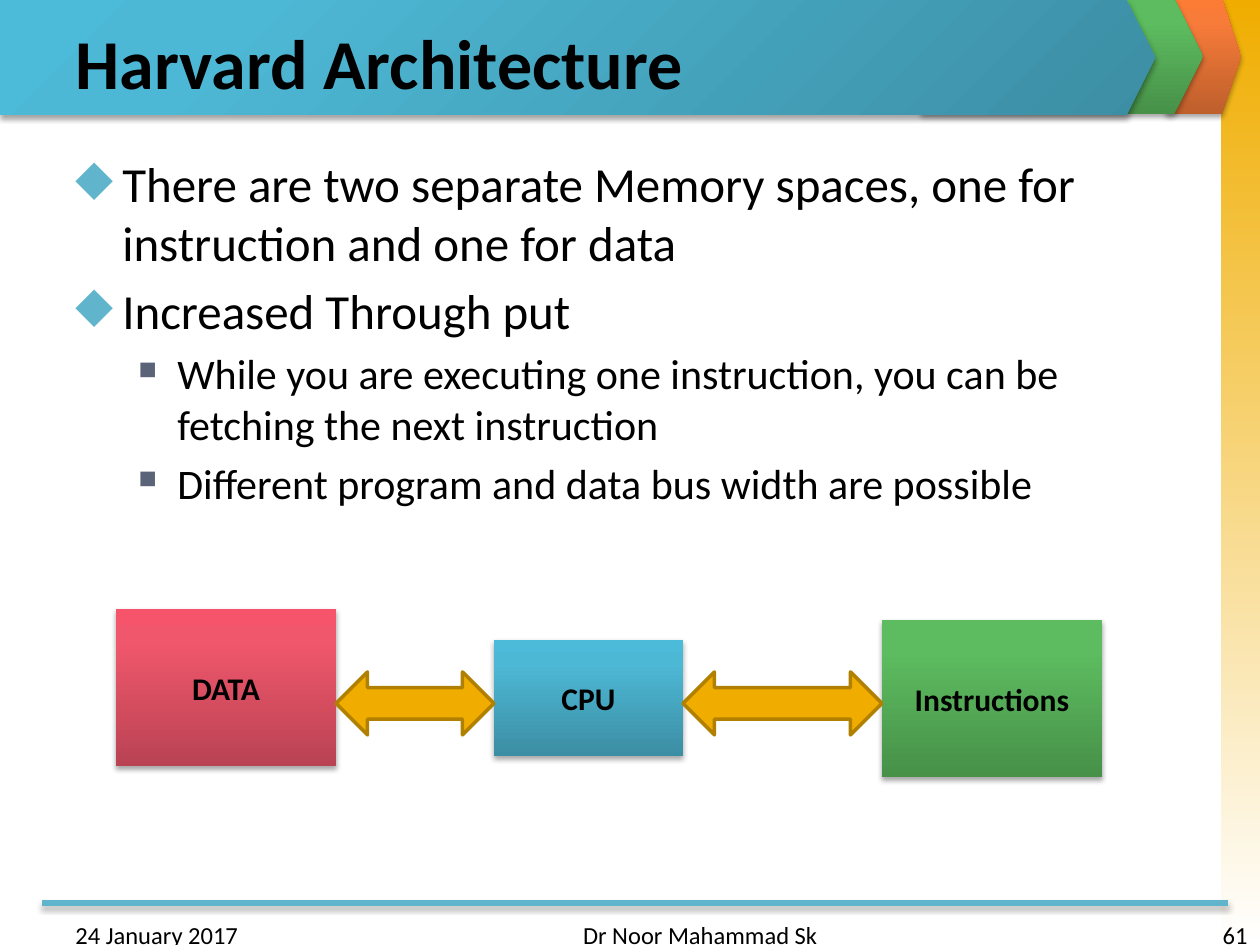
from pptx import Presentation
from pptx.dml.color import RGBColor
from pptx.enum.shapes import MSO_CONNECTOR as CONN, MSO_SHAPE as SHAPE
from pptx.enum.text import MSO_ANCHOR as ANCHOR, MSO_AUTO_SIZE as AUTO, PP_ALIGN as ALIGN
from pptx.oxml import parse_xml
from pptx.oxml.ns import nsdecls
from pptx.util import Pt

PX = 7257
NS = nsdecls("a")
rgb = RGBColor.from_string
SHADOW = (f'<a:effectLst {NS}><a:outerShdw blurRad="39370" dist="22860" dir="5400000" '
          'rotWithShape="0"><a:srgbClr val="000000"><a:alpha val="35000"/></a:srgbClr>'
          '</a:outerShdw></a:effectLst>')
DOWN = '<a:lin ang="5400000" scaled="0"/>'
UP = '<a:lin ang="16200000" scaled="0"/>'
RADIAL = '<a:path path="circle"><a:fillToRect l="100000" t="100000"/></a:path>'
GOLD = [(0, "F0AD00"), (100, "FFFFFF")]
ORANGE = [(0, "BE5F2C"), (80, "F77B39"), (100, "FC7B35")]
GREEN = [(0, "479149"), (80, "5DBC5F"), (100, "5BBF5E")]
BLUE = [(0, "3C8EA4"), (80, "4DB8D5"), (100, "4BBBD9")]
RED = [(0, "B94353"), (80, "F1576C"), (100, "F5546B")]


def add_gradient(kind, at, stops, direction, shadow=True):
    sp = s.shapes.add_shape(kind, *[v * PX for v in at])
    gs = "".join(f'<a:gs pos="{pos * 1000}"><a:srgbClr val="{c}"/></a:gs>' for pos, c in stops)
    spPr = sp._element.spPr
    spPr.append(parse_xml(f'<a:gradFill {NS} rotWithShape="1"><a:gsLst>{gs}</a:gsLst>'
                          f'{direction}</a:gradFill>'))
    sp.line.fill.background()
    if shadow:
        spPr.append(parse_xml(SHADOW))
    else:
        sp.shadow.inherit = False
    return sp


def write(p, text, size, align=ALIGN.LEFT, bold=False):
    p.alignment = align
    r = p.add_run()
    r.text = text
    for name, value in {"name": "Calibri", "size": Pt(size), "bold": bold}.items():
        setattr(r.font, name, value)
    r.font.color.rgb = rgb("000000")


prs = Presentation()
prs.slide_width, prs.slide_height = 1260 * PX, 945 * PX
s = prs.slides.add_slide(prs.slide_layouts[5])

add_gradient(SHAPE.RECTANGLE, (1221, 0, 39, 945), GOLD, DOWN, shadow=False)
for at, stops in [((1166, -1, 75, 115), ORANGE), ((921, -1, 282, 115), GREEN)]:
    add_gradient(SHAPE.PENTAGON, at, stops, UP).adjustments[0] = 0.25

rule = s.shapes.add_connector(CONN.STRAIGHT, 42 * PX, 903 * PX, 1228 * PX, 903 * PX)
rule.line.color.rgb = rgb("60B5CC")
rule.line.width = Pt(3)
rule._element.spPr.append(parse_xml(SHADOW))

add_gradient(SHAPE.PENTAGON, (0, 0, 1155, 115), BLUE, RADIAL).adjustments[0] = 0.25

title = s.shapes.title
for name, value in zip(("left", "top", "width", "height"), (63, 18, 1134, 87)):
    setattr(title, name, value * PX)
tf = title.text_frame
for name, value in {"vertical_anchor": ANCHOR.MIDDLE, "auto_size": AUTO.NONE}.items():
    setattr(tf, name, value)
write(tf.paragraphs[0], "Harvard Architecture", 40, bold=True)
s.shapes._spTree.append(title._element)

LEVELS = [
    {"size": 28, "left": 47, "hang": 47, "char": "◆", "color": "60B5CC", "pct": 100},
    {"size": 24, "left": 102, "hang": 39, "char": "■", "color": "5A6378", "pct": 60},
]
BODY = [
    (0, "There are two separate Memory spaces, one for instruction and one for data"),
    (0, "Increased Through put"),
    (1, "While you are executing one instruction, you can be fetching the next instruction"),
    (1, "Different program and data bus width are possible"),
]
tf = s.shapes.add_textbox(63 * PX, 147 * PX, 1134 * PX, 388 * PX).text_frame
tf.word_wrap = True
for i, (level, text) in enumerate(BODY):
    p = tf.add_paragraph() if i else tf.paragraphs[0]
    p.level = level
    f = LEVELS[level]
    write(p, text, f["size"])
    pPr = p._p.get_or_add_pPr()
    pPr.set("marL", str(f["left"] * PX))
    pPr.set("indent", str(-f["hang"] * PX))
    for xml in (f'<a:spcBef {NS}><a:spcPct val="20000"/></a:spcBef>',
                f'<a:buClr {NS}><a:srgbClr val="{f["color"]}"/></a:buClr>',
                f'<a:buSzPct {NS} val="{f["pct"] * 1000}"/>',
                f'<a:buChar {NS} char="{f["char"]}"/>'):
        pPr.append(parse_xml(xml))

for left, width, text, align in [
    (63, 294, "24 January 2017", ALIGN.LEFT),
    (431, 399, "Dr Noor Mahammad Sk", ALIGN.RIGHT),
    (966, 294, "61", ALIGN.RIGHT),
]:
    tf = s.shapes.add_textbox(left * PX, 914 * PX, width * PX, 31 * PX).text_frame
    tf.word_wrap = True
    write(tf.paragraphs[0], text, 14, align)

for at, stops, text in [
    ((494, 640, 189, 116), BLUE, "CPU"),
    ((116, 609, 220, 157), RED, "DATA"),
    ((882, 620, 220, 157), GREEN, "Instructions"),
]:
    tf = add_gradient(SHAPE.RECTANGLE, at, stops, UP).text_frame
    tf.vertical_anchor = ANCHOR.MIDDLE
    write(tf.paragraphs[0], text, 18, ALIGN.CENTER, bold=True)

for left, right in [(336, 494), (683, 882)]:
    sp = s.shapes.add_shape(SHAPE.LEFT_RIGHT_ARROW, left * PX, 672 * PX, (right - left) * PX, 63 * PX)
    sp.shadow.inherit = False
    sp.fill.solid()
    sp.fill.fore_color.rgb = rgb("F0AD00")
    sp.line.color.rgb = rgb("B28000")
    sp.line.width = Pt(2)

prs.save("out.pptx")
